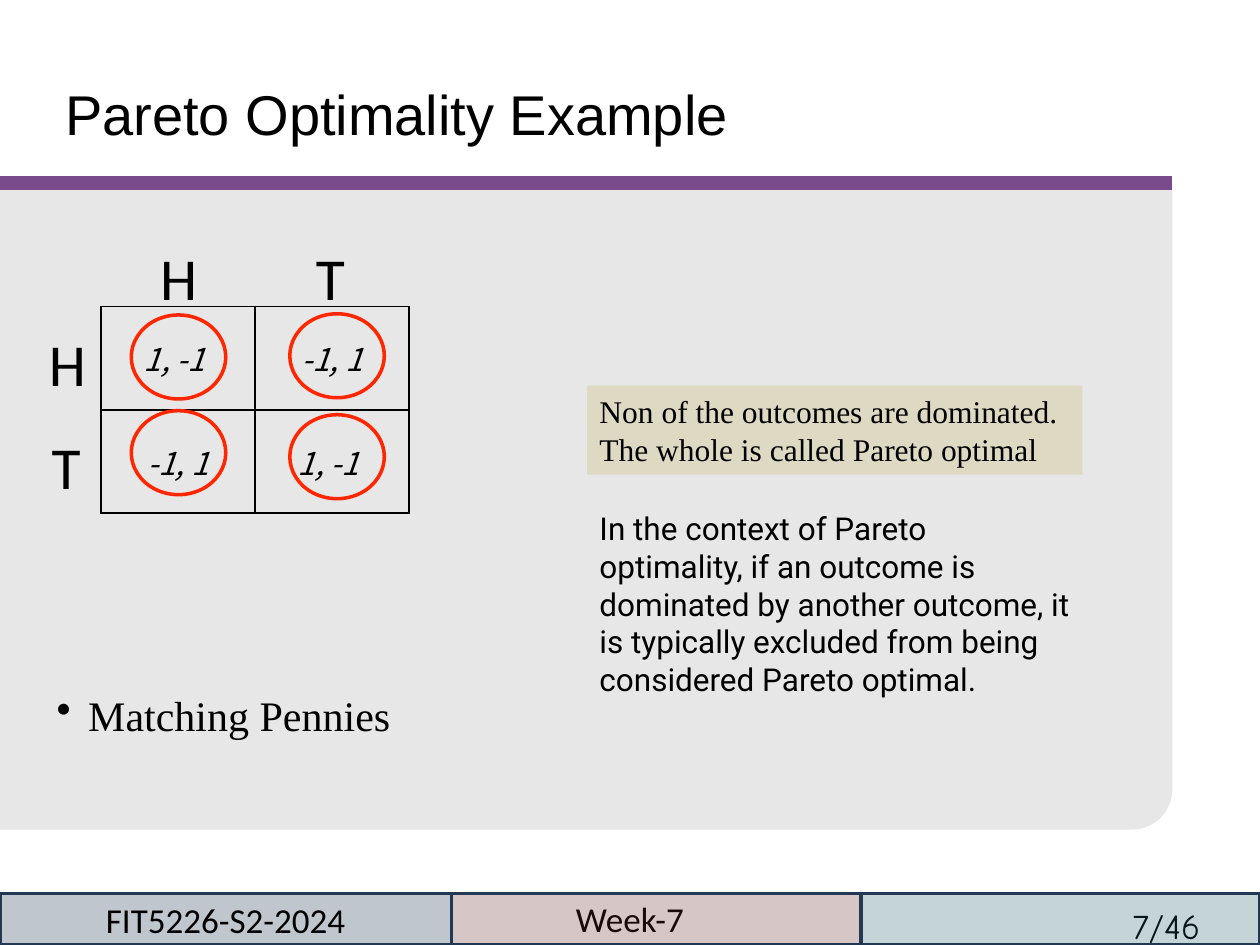
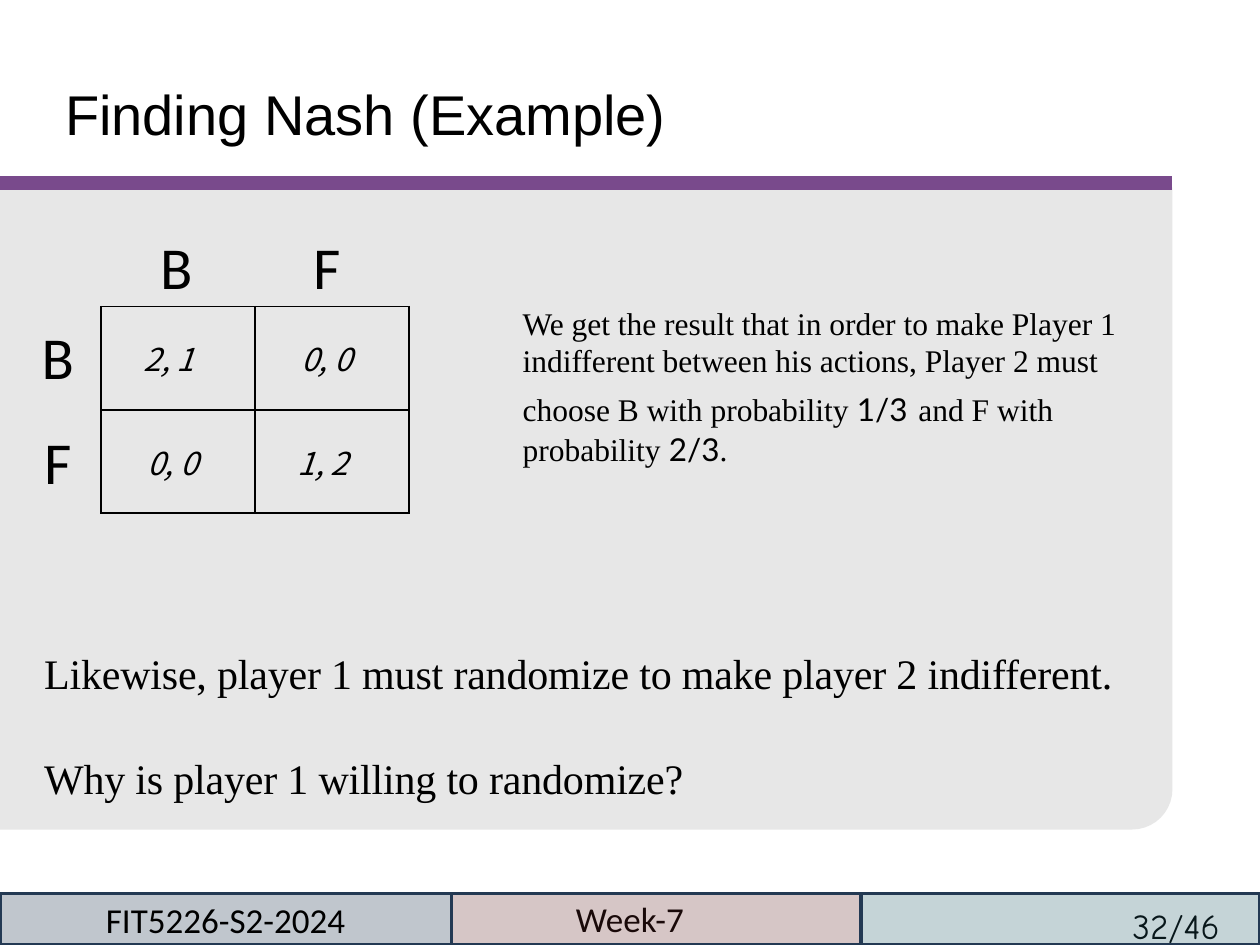
import math

from lxml import etree
from pptx import Presentation
from pptx.dml.color import RGBColor
from pptx.enum import shapes, text
from pptx.oxml import ns
from pptx.util import Pt

COLORS = {
    "ink": "000000", "panel": "E7E7E7", "band": "794A8C", "ring": "FF2600",
    "note": "DDD9C3", "edge": "233953",
    "navy": "0F243E", "wine": "632523", "teal": "215968",
}
SERIF, SANS, MATH = "Times New Roman", "Calibri", "Noto Sans CJK JP"
RIGHT, TOP, BASE, CURVE = 670, 107, 474, 23
BARS = [(0, 258, "navy"), (258, 234, "wine"), (492, 228, "teal")]
GRID_LEFT, GRID_TOP, CELL_WIDE, CELL_HIGH = 57.6, 175.2, 88, 59
MIDDLE = text.MSO_ANCHOR.MIDDLE


def tint(name):
    return RGBColor.from_string(COLORS[name])


def child(parent, tag, **attrs):
    return etree.SubElement(parent, ns.qn(tag), attrs)


def write(frame, lines, font, size, align=None, gap=0, bullet=False,
          track=0, slant=False):
    frame.word_wrap = True
    for index, line in enumerate(lines):
        para = frame.add_paragraph() if index else frame.paragraphs[0]
        if bullet:
            props = para._p.get_or_add_pPr()
            props.set("marL", str(Pt(18.7)))
            props.set("indent", str(-Pt(18)))
            child(props, "a:buChar", char="•")
        if index and gap:
            para.space_before = Pt(gap)
        para.alignment = align
        for words, face, points in [(line, font, size)] if isinstance(line, str) else line:
            run = para.add_run()
            run.text = words
            run.font.name = face
            run.font.size = Pt(points)
            run.font.color.rgb = tint("ink")
            if slant:
                run.font.italic = True
            if track:
                run._r.get_or_add_rPr().set("spc", str(track))


def add_text(slide, box, lines, font, size, inset=False, **style):
    frame = slide.shapes.add_textbox(*map(Pt, box)).text_frame
    if not inset:
        frame.margin_left = frame.margin_right = 0
        frame.margin_top = frame.margin_bottom = 0
    write(frame, lines, font, size, **style)


def add_block(slide, kind, box, fill=None, line=None):
    block = slide.shapes.add_shape(kind, *map(Pt, box))
    block.shadow.inherit = False
    if fill:
        block.fill.solid()
        block.fill.fore_color.rgb = tint(fill)
    else:
        block.fill.background()
    if line:
        block.line.color.rgb = tint(line)
        block.line.width = Pt(2)
    else:
        block.line.fill.background()
    return block


def add_panel(slide):
    angles = [math.radians(step * 9) for step in range(11)]
    curve = [(RIGHT - CURVE + CURVE * math.cos(a),
              BASE - CURVE + CURVE * math.sin(a)) for a in angles]
    pen = slide.shapes.build_freeform(0, Pt(TOP))
    points = [(RIGHT, TOP), *curve, (0, BASE)]
    pen.add_line_segments([(Pt(x), Pt(y)) for x, y in points])
    panel = pen.convert_to_shape()
    panel.shadow.inherit = False
    panel.fill.solid()
    panel.fill.fore_color.rgb = tint("panel")
    panel.line.fill.background()


def add_band(slide):
    band = slide.shapes.add_connector(
        shapes.MSO_CONNECTOR.STRAIGHT, 0, Pt(104.5), Pt(RIGHT), Pt(104.5))
    band.line.color.rgb = tint("band")
    band.line.width = Pt(8)
    child(band._element.spPr, "a:effectLst")


def add_foot(slide, page):
    add_text(slide, (640, 513.4, 80, 26), [page], "Comic Neue", 20, inset=True)
    add_text(slide, (245, 512.6, 230, 24.5), ["Week-7"], SANS, 20,
             align=text.PP_ALIGN.CENTER)
    for left, width, fill in BARS:
        bar = add_block(slide, shapes.MSO_SHAPE.RECTANGLE,
                        (left, 510.5, width, 29.5), fill, "edge")
        color = bar._element.spPr.find(ns.qn("a:solidFill"))[0]
        child(color, "a:alpha", val="26000")
        if left == 0:
            bar.text_frame.vertical_anchor = MIDDLE
            write(bar.text_frame, ["FIT5226-S2-2024"], SANS, 20,
                  align=text.PP_ALIGN.CENTER)


def add_base(deck, title, page):
    slide = deck.slides.add_slide(deck.slide_layouts[6])
    add_panel(slide)
    add_band(slide)
    add_text(slide, (37.2, 45.4, 646, 37), [title], "Arial", 32)
    add_foot(slide, page)
    return slide


def edge_cell(cell):
    props = cell._tc.get_or_add_tcPr()
    for index, side in enumerate(("lnL", "lnR", "lnT", "lnB")):
        line = etree.Element(ns.qn("a:" + side), w=str(Pt(1)))
        child(child(line, "a:solidFill"), "a:srgbClr", val=COLORS["ink"])
        props.insert(index, line)


def add_grid(slide, rows):
    table = slide.shapes.add_table(
        2, 2, Pt(GRID_LEFT), Pt(GRID_TOP), Pt(2 * CELL_WIDE), Pt(2 * CELL_HIGH)).table
    table.first_row = table.horz_banding = False
    for y, row in enumerate(rows):
        table.rows[y].height = Pt(CELL_HIGH)
        table.columns[y].width = Pt(CELL_WIDE)
        for x, pay in enumerate(row):
            cell = table.cell(y, x)
            cell.margin_left = Pt(24.5 if x == y else 26.6)
            cell.margin_right = cell.margin_top = cell.margin_bottom = 0
            cell.vertical_anchor = MIDDLE
            cell.fill.solid()
            cell.fill.fore_color.rgb = tint("panel")
            write(cell.text_frame, [pay], MATH, 18, slant=True)
            edge_cell(cell)


def add_marks(slide, names, heads, sides):
    for name, head, side in zip(names, heads, sides):
        for spot in (head, side):
            add_text(slide, (*spot, 30, 41), [name], SANS, 34)


def add_pareto(deck):
    slide = add_base(deck, "Pareto Optimality Example", "7/46")
    add_text(slide, (31.7, 393.8, 201, 29), ["Matching Pennies"], SERIF, 24,
             bullet=True)
    add_marks(slide, "HT", [(91.5, 137.5), (180.5, 137.5)],
              [(28, 187), (29.5, 246)])
    add_grid(slide, [["1, -1", "-1, 1"], ["-1, 1", "1, -1"]])
    for left, top in [(75, 180), (165.6, 179.3), (75, 234.7), (165.6, 237)]:
        add_block(slide, shapes.MSO_SHAPE.OVAL, (left, top, 54, 48), line="ring")
    note = add_block(slide, shapes.MSO_SHAPE.RECTANGLE,
                     (335.5, 220.3, 283, 51), "note")
    note.text_frame.vertical_anchor = text.MSO_ANCHOR.TOP
    write(note.text_frame,
          ["Non of the outcomes are dominated.",
           "The whole is called Pareto optimal"], SERIF, 18,
          align=text.PP_ALIGN.LEFT)
    add_text(slide, (335.5, 287.3, 283, 116.6),
             ["In the context of Pareto optimality, if an outcome is dominated "
              "by another outcome, it is typically excluded from being "
              "considered Pareto optimal."], "Roboto", 18, inset=True)


def add_nash(deck):
    slide = add_base(deck, "Finding Nash (Example)", "32/46")
    add_grid(slide, [["2, 1", "0, 0"], ["0, 0", "1, 2"]])
    add_marks(slide, "BF", [(91.5, 131.5), (179, 131.5)],
              [(23.8, 183), (25.2, 243)])
    add_text(slide, (25.2, 370, 625, 84),
             ["Likewise, player 1 must randomize to make player 2 indifferent.",
              "Why is player 1 willing to randomize?"], SERIF, 24,
             gap=31, track=-10)
    result = [
        ("We get the result that in order to make Player 1 indifferent between "
         "his actions, Player 2 must choose B with probability ", SERIF, 18),
        ("1/3", "Lato", 18), (" ", "Lato", 24),
        ("and F with probability", SERIF, 18),
        (" 2/3", "Lato", 18), (".", SERIF, 18),
    ]
    add_text(slide, (291.6, 170, 390, 101.5), [result], SERIF, 18, inset=True)


def main():
    deck = Presentation()
    deck.slide_width, deck.slide_height = Pt(720), Pt(540)
    add_pareto(deck)
    add_nash(deck)
    deck.save("out.pptx")


if __name__ == "__main__":
    main()
